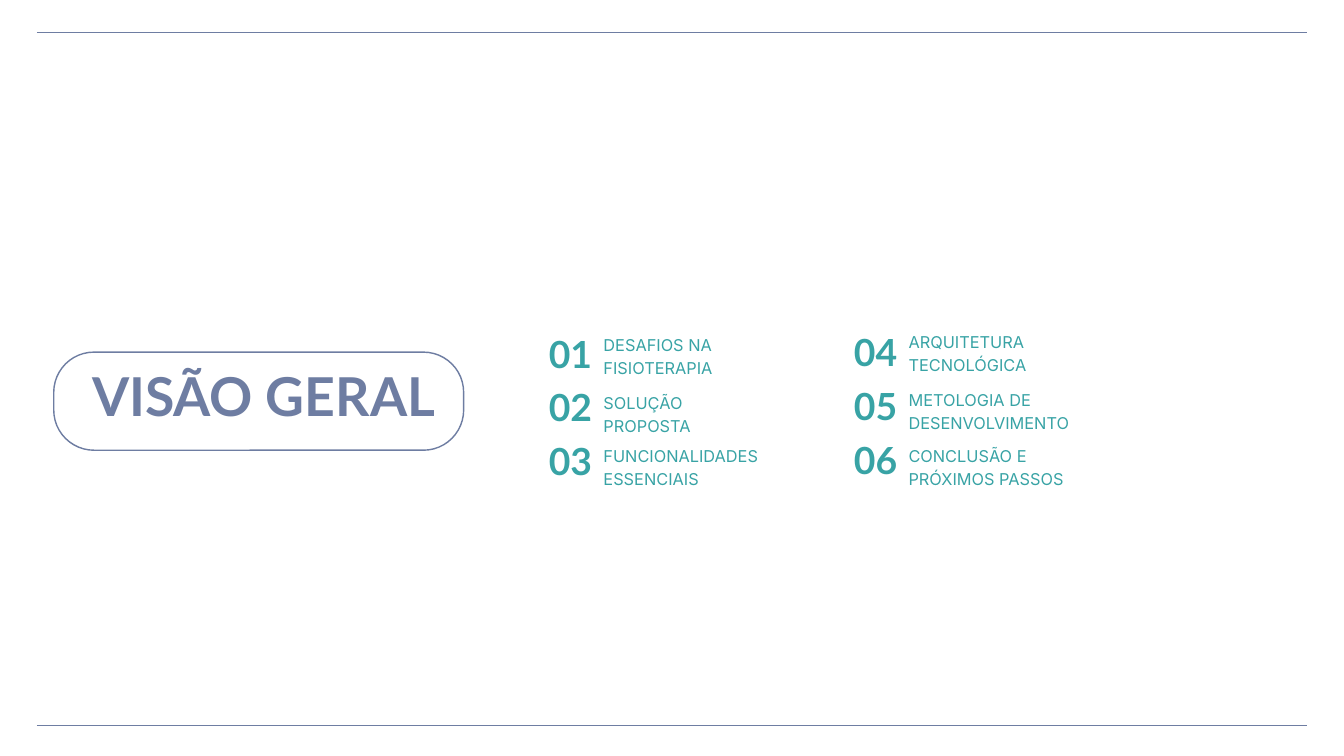
from pptx import Presentation
from pptx.dml.color import RGBColor
from pptx.enum.shapes import MSO_CONNECTOR, MSO_SHAPE
from pptx.enum.text import MSO_ANCHOR, PP_ALIGN
from pptx.oxml.ns import qn
from pptx.util import Inches, Pt
from lxml import etree

LEFT, RIGHT = PP_ALIGN.LEFT, PP_ALIGN.RIGHT
TOP = MSO_ANCHOR.TOP
STRAIGHT = MSO_CONNECTOR.STRAIGHT
ROUNDED = MSO_SHAPE.ROUNDED_RECTANGLE

COLORS = {"slate": "6E7DA2", "teal": "38A3A5", "white": "FFFFFF"}

ROW_PITCH = 0.8
COLUMNS = [
    (7.69, 5.06, [
        ("01", "DESAFIOS NA FISIOTERAPIA", 4.93, 1.98),
        ("02", "SOLUÇÃO PROPOSTA", 5.8, 2.46),
        ("03", "FUNCIONALIDADES ESSENCIAIS", 6.59, 2.45),
    ]),
    (12.23, 5.04, [
        ("04", "ARQUITETURA TECNOLÓGICA", 4.89, 2.65),
        ("05", "METOLOGIA DE DESENVOLVIMENTO", 5.75, 2.66),
        ("06", "CONCLUSÃO E PRÓXIMOS PASSOS", 6.59, 2.49),
    ]),
]


def rgb(name):
    """Return the named colour."""
    return RGBColor.from_string(COLORS[name])


def place(sp, x, y, w, h):
    """Move and size a shape, in inches."""
    sp.left, sp.top, sp.width, sp.height = (Inches(v) for v in (x, y, w, h))


def set_text(sp, text, font="Lato", size=40, color="teal", bold=False,
             align=LEFT, spacing=38):
    """Write one formatted paragraph into a shape without insets."""
    tf = sp.text_frame
    tf.word_wrap = True
    tf.vertical_anchor = TOP
    tf.margin_left = tf.margin_right = tf.margin_top = tf.margin_bottom = 0
    p = tf.paragraphs[0]
    p.alignment = align
    p.line_spacing = Pt(spacing)
    p.space_before = Pt(0)
    r = p.add_run()
    r.text = text
    r.font.name = font
    r.font.size = Pt(size)
    r.font.bold = bold
    r.font.color.rgb = rgb(color)


def add_text(s, text, x, y, w, h, **fmt):
    """Add a text box with formatted text."""
    sp = s.shapes.add_textbox(Inches(x), Inches(y), Inches(w), Inches(h))
    set_text(sp, text, **fmt)


def add_rule(s, x, y, w):
    """Draw a horizontal rule."""
    line = s.shapes.add_connector(STRAIGHT, Inches(x), Inches(y),
                                  Inches(x + w), Inches(y))
    line.line.color.rgb = rgb("slate")
    line.line.width = Pt(1.5)
    etree.SubElement(line._element.spPr, qn("a:effectLst"))


def add_title(s, x, y, w, h):
    """Place the title inside a rounded outline."""
    pill = s.shapes.add_shape(ROUNDED, Inches(x), Inches(y), Inches(w), Inches(h))
    pill.adjustments[0] = 0.41
    pill.shadow.inherit = False
    pill.fill.background()
    pill.line.color.rgb = rgb("slate")
    pill.line.width = Pt(1.5)
    title = s.shapes.title
    place(title, x + 0.57, y + 0.36, w - 0.72, 0.84)
    set_text(title, "VISÃO GERAL", size=57.4, color="slate", bold=True, spacing=54.5)


def add_column(s, x, y, items):
    """List numbered topics downwards from the given corner."""
    for i, (number, topic, topic_y, topic_w) in enumerate(items):
        add_text(s, number, x, y + i * ROW_PITCH, 1.12, 0.56, bold=True, align=RIGHT)
        add_text(s, topic, x + 1.29, topic_y, topic_w, 0.66,
                 font="Inter", size=17.5, spacing=24.7)


def main():
    """Build the overview slide."""
    prs = Presentation()
    prs.slide_width, prs.slide_height = Inches(20), Inches(11.25)
    s = prs.slides.add_slide(prs.slide_layouts[5])
    s.background.fill.solid()
    s.background.fill.fore_color.rgb = rgb("white")
    for y in (0.48, 10.8):
        add_rule(s, 0.55, y, 18.9)
    add_title(s, 0.8, 5.24, 6.1, 1.46)
    for x, y, items in COLUMNS:
        add_column(s, x, y, items)
    prs.save("out.pptx")


if __name__ == "__main__":
    main()
